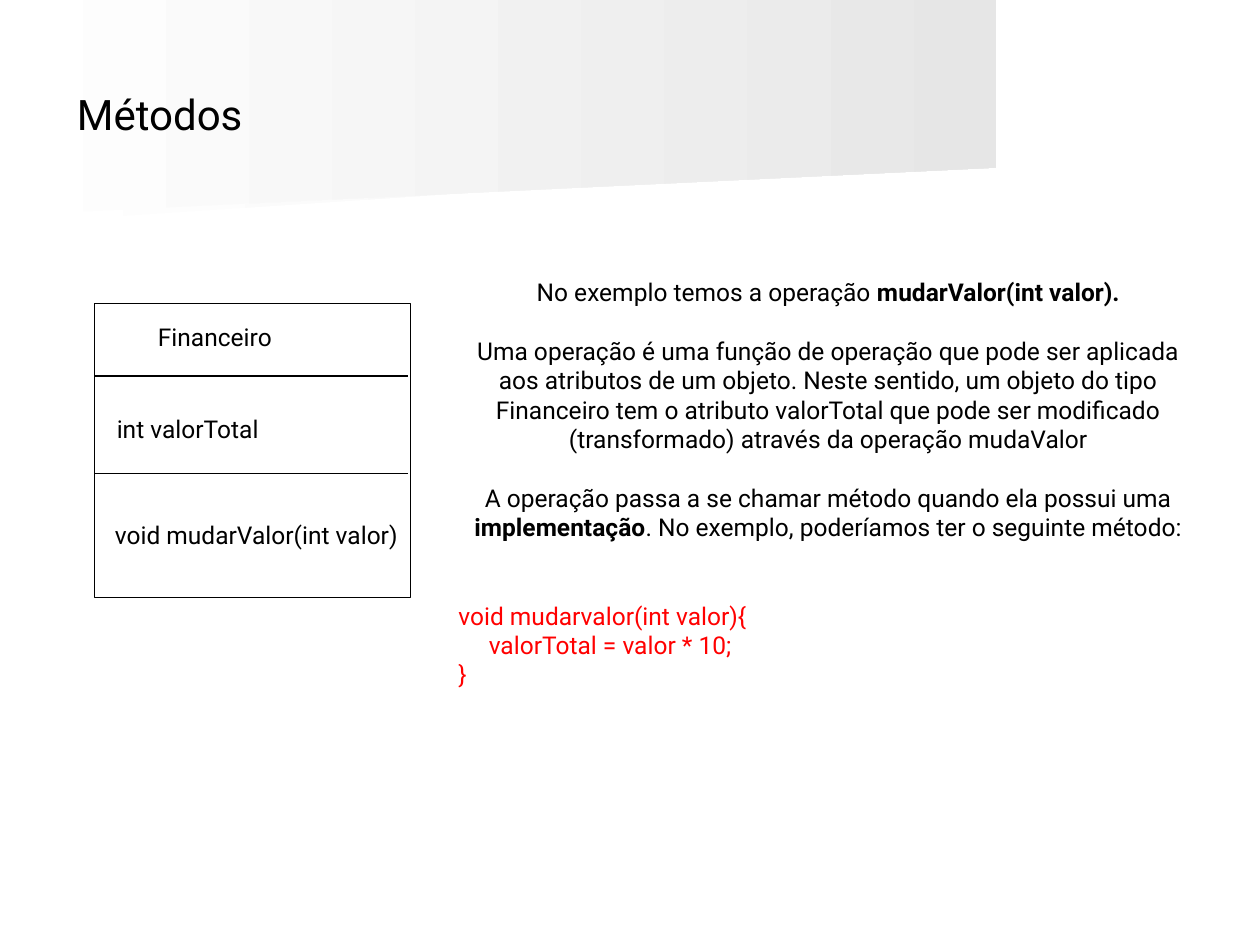
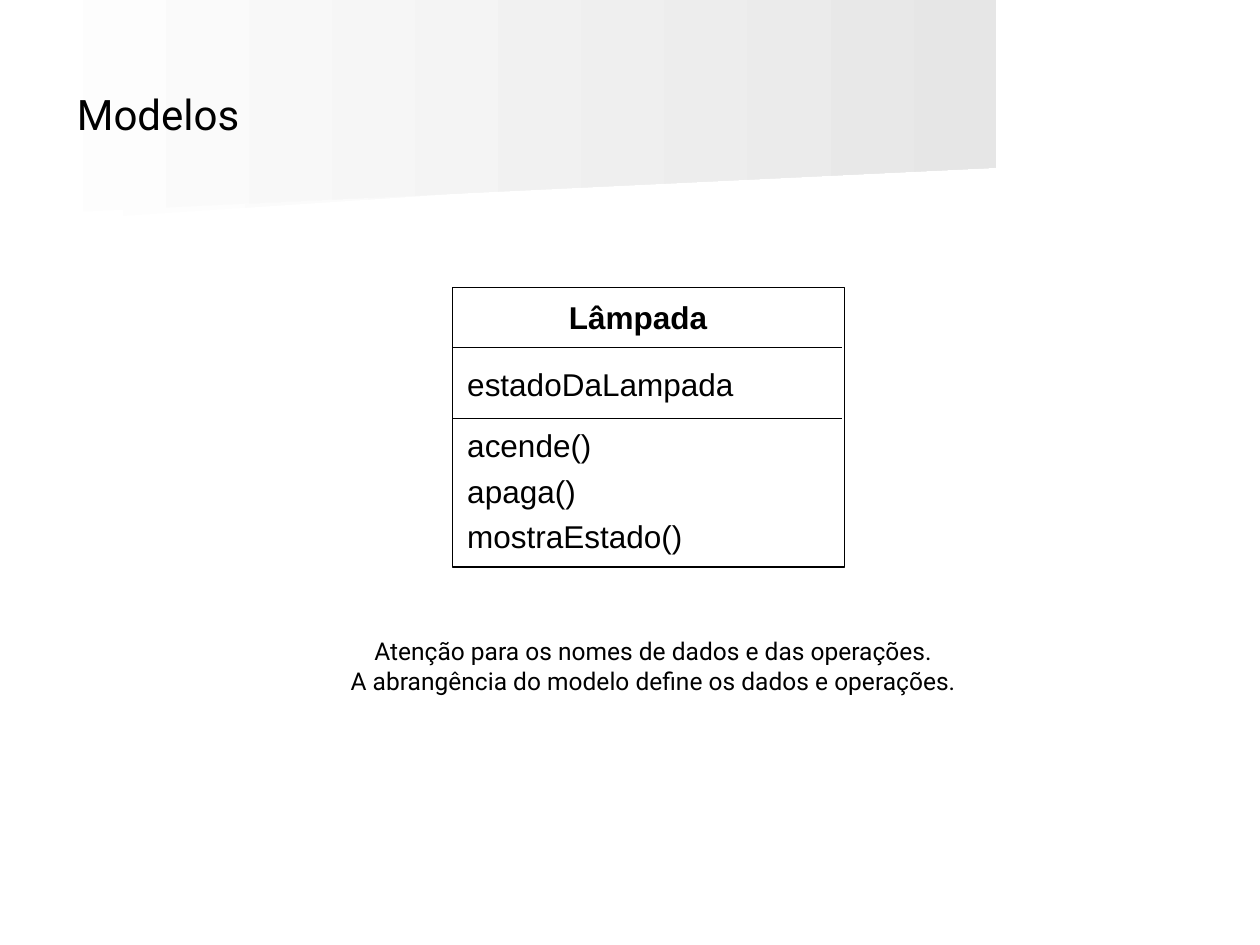
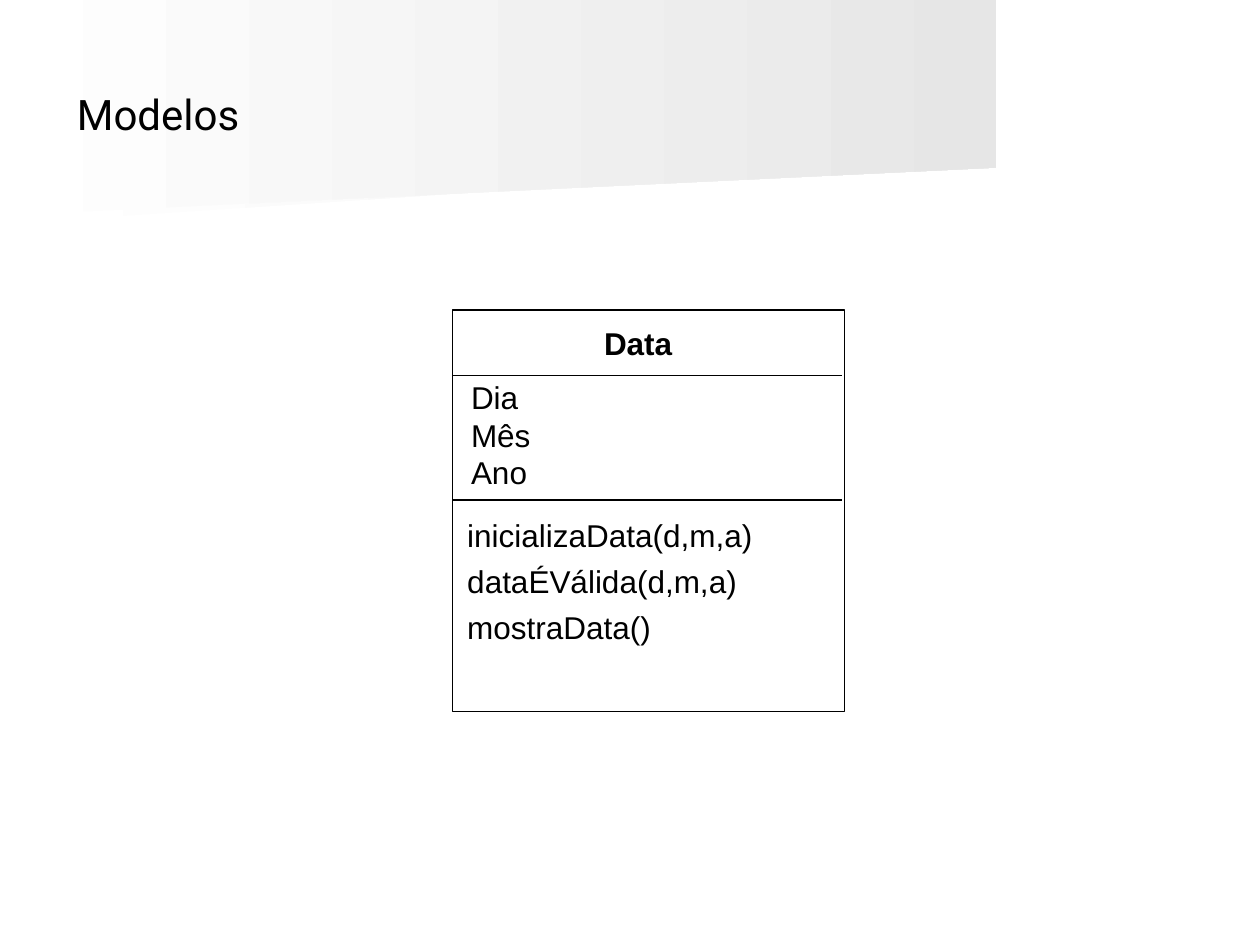
"""Build three slides on methods and class models."""
from lxml import etree
from pptx import Presentation
from pptx.dml.color import RGBColor
from pptx.enum.shapes import MSO_CONNECTOR, MSO_SHAPE
from pptx.enum.text import MSO_ANCHOR, MSO_AUTO_SIZE, PP_ALIGN
from pptx.oxml.ns import qn
from pptx.util import Pt

LEFT, CENTER = PP_ALIGN.LEFT, PP_ALIGN.CENTER
MIDDLE = MSO_ANCHOR.MIDDLE
GROW = MSO_AUTO_SIZE.SHAPE_TO_FIT_TEXT
RECTANGLE = MSO_SHAPE.RECTANGLE
STRAIGHT = MSO_CONNECTOR.STRAIGHT

COLORS = {
    "ink": "000000",
    "paper": "FFFFFF",
    "code": "FF0000",
    "lower_band": "F0F0F0",
    "upper_band": "E6E6E6",
}
TITLE = {"name": "Roboto", "size": Pt(24), "bold": False}
BODY = {"name": "Roboto", "size": Pt(14), "bold": False}
MODEL = {"name": "Arial", "size": Pt(18), "bold": False}
MODEL_NAME = {**MODEL, "bold": True}
TITLE_FRAME = (36.7, 20.2, 648, 90)
LINE_WIDTH = Pt(0.75)
BODY_LINE = 16.8
OPERATION_GAP = 4.5
BANDS = [
    ("lower_band", [(559.4, 90.7), (0, 128), (0, 59.8), (560.2, 59.8), (559.4, 75.6)]),
    ("upper_band", [(569.5, 95.8), (0, 123.1), (0, 0), (569.5, 0)]),
]
MODEL_LEFT, MODEL_WIDTH = 258.5, 223.9


def rgb(color):
    """Return the named colour."""
    return RGBColor.from_string(COLORS[color])


def points(values):
    """Turn numbers into lengths in points."""
    return [Pt(value) for value in values]


def style_font(font, style, color="ink"):
    """Apply a text style and a colour to a font."""
    for name, value in style.items():
        setattr(font, name, value)
    font.color.rgb = rgb(color)


def style_line(line):
    """Give a line the shared stroke."""
    line.color.rgb = rgb("ink")
    line.width = LINE_WIDTH


def add_bands(page, layout):
    """Draw the gradient bands and place them at the back of the layout."""
    for order, (color, corners) in enumerate(BANDS):
        start, *others = [points(corner) for corner in corners]
        builder = page.shapes.build_freeform(*start)
        builder.add_line_segments(others, close=True)
        band = builder.convert_to_shape()
        band.shadow.inherit = False
        band.line.fill.background()
        band.fill.gradient()
        band.fill.gradient_angle = 0
        for stop, name in zip(band.fill.gradient_stops, ("paper", color)):
            stop.color.rgb = rgb(name)
        band.name = f"Band {order + 1}"
        band._element.nvSpPr.cNvPr.id = 100 + order
        layout.shapes._spTree.insert(2 + order, band._element)


def add_page(deck, layout, title):
    """Add a slide with its formatted title."""
    page = deck.slides.add_slide(layout)
    box = page.shapes.title
    box.left, box.top, box.width, box.height = points(TITLE_FRAME)
    box.text_frame.text = title
    box.text_frame.vertical_anchor = MIDDLE
    para = box.text_frame.paragraphs[0]
    para.alignment = LEFT
    style_font(para.runs[0].font, TITLE)
    return page


def add_text(page, frame, paras, style, align=LEFT, gap=0, wrap=True):
    """Add a text box with one paragraph for each line of text."""
    box = page.shapes.add_textbox(*points(frame))
    text = box.text_frame
    text.word_wrap = wrap
    text.auto_size = GROW
    for index, words in enumerate(paras):
        para = text.add_paragraph() if index else text.paragraphs[0]
        para.alignment = align
        if index:
            para.space_before = Pt(gap)
        span = para.add_run()
        span.text = words
        style_font(span.font, style)
    return text


def add_span(para, words, bold=False):
    """Append body text to a paragraph."""
    span = para.add_run()
    span.text = words
    style_font(span.font, {**BODY, "bold": bold})


def add_class_box(page, frame, dividers, filled=True):
    """Draw a class rectangle and its dividing lines."""
    left, _, width, _ = frame
    box = page.shapes.add_shape(RECTANGLE, *points(frame))
    box.shadow.inherit = False
    style_line(box.line)
    if filled:
        box.fill.solid()
        box.fill.fore_color.rgb = rgb("paper")
    else:
        box.fill.background()
    for height in dividers:
        ends = points((left + 0.5, height, left + width - 1.5, height))
        divider = page.shapes.add_connector(STRAIGHT, *ends)
        style_line(divider.line)
        etree.SubElement(divider._element.spPr, qn("a:effectLst"))


def add_model(page, top, height, dividers, name, name_top):
    """Draw a model box with its class name."""
    add_class_box(page, (MODEL_LEFT, top, MODEL_WIDTH, height), dividers)
    add_text(page, (311, name_top, 107.3, 28.8), [name], MODEL_NAME, CENTER)


def add_operations(page, top, operations):
    """List the operations of a model."""
    add_text(page, (259.9, top, 217.4, 81.4), operations, MODEL, gap=OPERATION_GAP)


def fill_methods(page):
    """Build the slide on methods."""
    add_class_box(page, (54, 173.5, 180.7, 167.8), (214.9, 270.4), filled=False)
    for left, top, width, words in (
        (81.4, 180.7, 82.8, "Financeiro"),
        (56.9, 233.3, 100.8, "int valorTotal"),
        (53.3, 293.8, 186.5, "void mudarValor(int valor)"),
    ):
        add_text(page, (left, top, width, 24.5), [words], BODY, CENTER, wrap=False)

    explanation = [
        "No exemplo temos a operação",
        "Uma operação é uma função de operação que pode ser aplicada aos atributos "
        "de um objeto. Neste sentido, um objeto do tipo Financeiro tem o atributo "
        "valorTotal que pode ser modificado (transformado) através da operação mudaValor",
        "A operação passa a se chamar método quando ela possui uma ",
    ]
    text = add_text(page, (254.9, 154.8, 437, 259.2), explanation, BODY, CENTER, BODY_LINE)
    example, _, method = text.paragraphs
    add_span(example, " mudarValor(int valor).", bold=True)
    add_span(method, "implementação", bold=True)
    add_span(method, ". No exemplo, poderíamos ter o seguinte método:")

    code = ["void mudarvalor(int valor){", "     valorTotal = valor * 10;", "}"]
    for index, words in enumerate(code):
        para = text.add_paragraph()
        para.alignment = LEFT
        para.space_before = Pt(0 if index else 2 * BODY_LINE)
        span = para.add_run()
        span.text = words
        style_font(span.font, BODY, "code")


def fill_lamp(page):
    """Build the lamp model slide."""
    add_model(page, 164.2, 159.8, (198.7, 239), "Lâmpada", 167)
    add_text(page, (259.9, 205.2, 217.4, 28.8), ["estadoDaLampada"], MODEL)
    add_operations(page, 239.8, ["acende()", "apaga()", "mostraEstado()"])
    note = [
        "Atenção para os nomes de dados e das operações.",
        "A abrangência do modelo define os dados e operações.",
    ]
    add_text(page, (175.7, 360, 395.3, 41), note, BODY, CENTER)


def fill_date(page):
    """Build the date model slide."""
    add_model(page, 177.1, 229.7, (214.6, 285.8), "Data", 181.4)
    add_operations(page, 291.6, ["inicializaData(d,m,a)", "dataÉVálida(d,m,a)", "mostraData()"])
    add_text(page, (262.1, 212.4, 48.2, 72), ["Dia", "Mês", "Ano"], MODEL, wrap=False)


def main():
    """Build and save the deck."""
    deck = Presentation()
    deck.slide_width, deck.slide_height = points((720, 540))
    layout = deck.slide_layouts[5]
    pages = [add_page(deck, layout, title) for title in ("Métodos", "Modelos", "Modelos")]
    add_bands(pages[0], layout)
    for page, fill in zip(pages, (fill_methods, fill_lamp, fill_date)):
        fill(page)
    deck.save("out.pptx")


if __name__ == "__main__":
    main()
